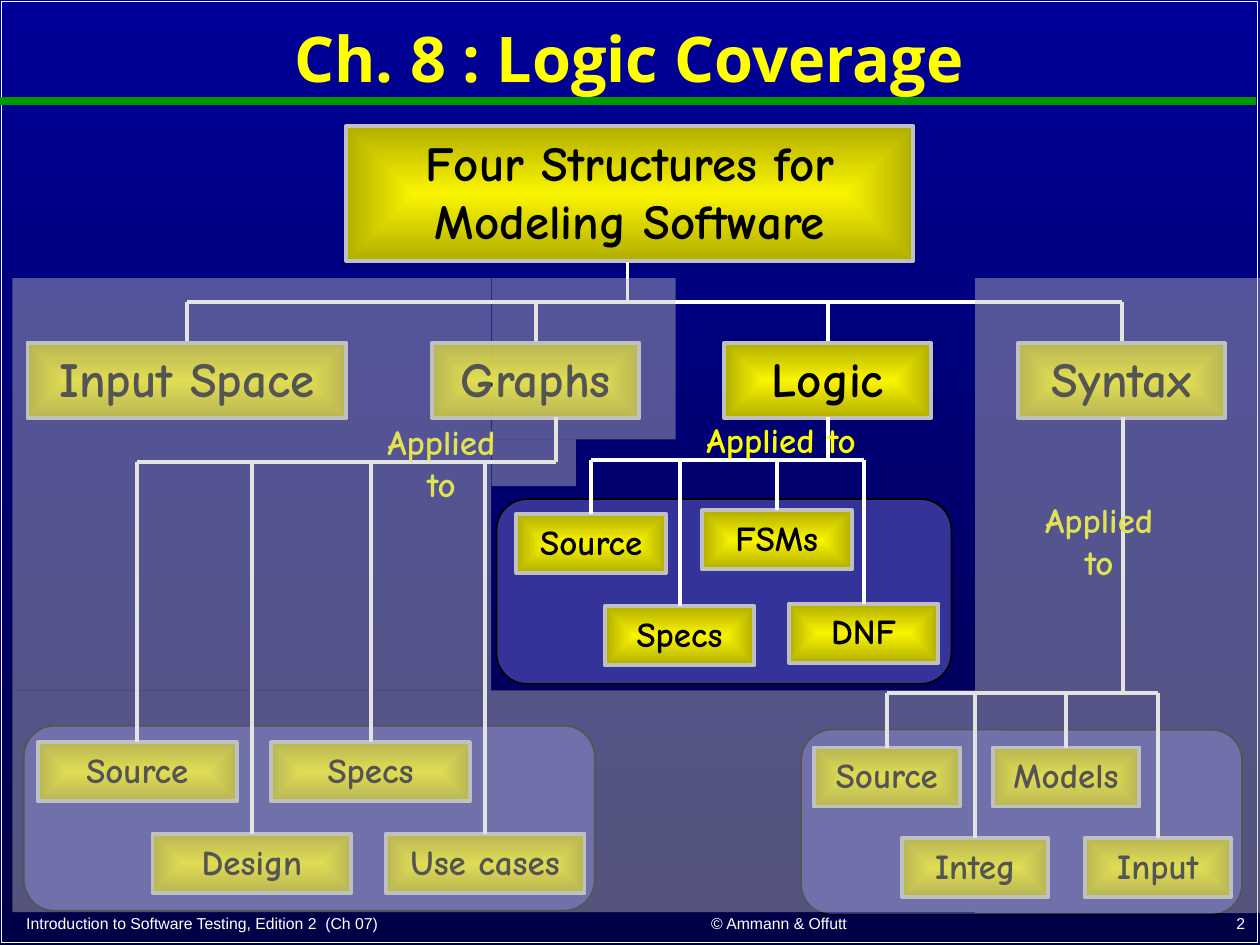
from lxml.etree import SubElement
from pptx import Presentation
from pptx.dml.color import RGBColor
from pptx.enum.shapes import MSO_CONNECTOR, MSO_SHAPE
from pptx.enum.text import MSO_ANCHOR, MSO_AUTO_SIZE, PP_ALIGN
from pptx.oxml import parse_xml
from pptx.oxml.ns import nsdecls, qn
from pptx.util import Cm, Pt

NAVY = RGBColor(0x00, 0x00, 0x99)
MIDNIGHT = RGBColor(0x00, 0x00, 0x47)
INDIGO = RGBColor(0x33, 0x33, 0x99)
GREEN = RGBColor(0x00, 0x99, 0x00)
YELLOW = RGBColor(0xFF, 0xFF, 0x00)
LEMON = RGBColor(0xFA, 0xFD, 0x00)
GOLD = RGBColor(0xFA, 0xF4, 0x00)
SILVER = RGBColor(0xC0, 0xC0, 0xC0)
WHITE = RGBColor(0xFF, 0xFF, 0xFF)
BLACK = RGBColor(0x00, 0x00, 0x00)

GOLD_GRADIENT = f"""<a:gradFill {nsdecls('a')} rotWithShape="1"><a:gsLst>
<a:gs pos="0"><a:srgbClr val="{GOLD}"/></a:gs>
<a:gs pos="100000"><a:srgbClr val="{GOLD}"><a:shade val="46275"/></a:srgbClr></a:gs>
</a:gsLst><a:path path="shape">
<a:fillToRect l="50000" t="50000" r="50000" b="50000"/></a:path></a:gradFill>"""

deck = Presentation()
deck.slide_width, deck.slide_height = Cm(25.4), Cm(19.05)
page = deck.slides.add_slide(deck.slide_layouts[5])


def write(text, left, top, width, height, size=20, color=BLACK, font="Comic Neue",
          bold=True, align=PP_ALIGN.CENTER, anchor=MSO_ANCHOR.TOP, framed=False):
    area = [Cm(length) for length in (left, top, width, height)]
    if framed:
        box = page.shapes.add_shape(MSO_SHAPE.RECTANGLE, *area)
        box.shadow.inherit = False
        box.line.color.rgb, box.line.width = SILVER, Pt(2.25)
        box._element.spPr.find(qn("a:prstGeom")).addnext(parse_xml(GOLD_GRADIENT))
    else:
        box = page.shapes.add_textbox(*area)
    frame = box.text_frame
    frame.word_wrap = True
    frame.vertical_anchor = anchor
    frame.auto_size = MSO_AUTO_SIZE.SHAPE_TO_FIT_TEXT if bold else MSO_AUTO_SIZE.NONE
    para = frame.paragraphs[0]
    para.alignment = align
    span = para.add_run()
    span.text = text
    span.font.name, span.font.size = font, Pt(size)
    span.font.bold, span.font.color.rgb = bold, color


def draw_line(x1, y1, x2, y2, color=WHITE, weight=2.25):
    line = page.shapes.add_connector(MSO_CONNECTOR.STRAIGHT, Cm(x1), Cm(y1), Cm(x2), Cm(y2))
    line.line.color.rgb, line.line.width = color, Pt(weight)
    SubElement(line._element.spPr, qn("a:effectLst"))


backdrop = page.background.fill
backdrop.gradient()
backdrop.gradient_angle = 270
for stop, color in zip(backdrop.gradient_stops, (NAVY, MIDNIGHT)):
    stop.color.rgb = color

border = page.shapes.add_shape(MSO_SHAPE.RECTANGLE, Cm(0.03), Cm(0.03), Cm(25.32), Cm(18.97))
border.shadow.inherit = False
border.fill.background()
border.line.color.rgb, border.line.width = WHITE, Pt(1)
draw_line(0, 2.03, 25.32, 2.03, color=GREEN, weight=4.5)

title = page.shapes.title
title.left, title.top, title.width, title.height = Cm(0.25), Cm(0.13), Cm(24.87), Cm(2.24)
title.text_frame.vertical_anchor = MSO_ANCHOR.MIDDLE
para = title.text_frame.paragraphs[0]
para.alignment, para.line_spacing = PP_ALIGN.CENTER, 0.9
span = para.add_run()
span.text = "Ch. 8 : Logic Coverage"
span.font.name, span.font.size = "Open Sans", Pt(36)
span.font.bold, span.font.color.rgb = True, YELLOW

for text, left, width, align in (
    ("Introduction to Software Testing, Edition 2  (Ch 07)", 0.28, 10.85, PP_ALIGN.LEFT),
    ("© Ammann & Offutt", 11.68, 8.05, PP_ALIGN.CENTER),
    ("2", 20.07, 5.28, PP_ALIGN.RIGHT),
):
    write(text, left, 18.27, width, 0.66, size=9, color=WHITE, font="Arial",
          bold=False, align=align, anchor=MSO_ANCHOR.BOTTOM)

write("Four Structures for Modeling Software", 6.98, 2.54, 11.43, 2.72, size=28, framed=True)
structures = (("Input Space", 3.77, 6.43), ("Graphs", 10.8, 4.17),
              ("Logic", 16.69, 4.17), ("Syntax", 22.61, 4.17))
draw_line(12.65, 5.28, 12.65, 6.08)
draw_line(structures[0][1], 6.08, structures[-1][1], 6.08)
for text, center, width in structures:
    write(text, center - width / 2, 6.91, width, 1.52, size=28, framed=True)
    draw_line(center, 6.08, center, 6.88)

branches = (
    dict(panel=(16.15, 14.71, 8.89), label=(20.6, 9.93, 3.12, 1.96),
         stem=22.63, bar=13.97, width=2.95,
         leaves=(("Source", 17.88, 15.07), ("Integ", 19.66, 16.89),
                 ("Models", 21.49, 15.07), ("Input", 23.34, 16.89))),
    dict(panel=(10.01, 10.06, 9.17), label=(13.54, 8.31, 4.42, 1.09),
         stem=16.69, bar=9.27, width=3.02,
         leaves=(("Source", 11.92, 10.36), ("Specs", 13.7, 12.22),
                 ("FSMs", 15.66, 10.29), ("DNF", 17.41, 12.17))),
    dict(panel=(0.48, 14.63, 11.51), label=(7.34, 8.36, 3.12, 1.96),
         stem=11.2, bar=9.32, width=4.01,
         leaves=(("Source", 2.77, 14.96), ("Design", 5.08, 16.81),
                 ("Specs", 7.47, 14.96), ("Use cases", 9.78, 16.81))),
)
for branch in branches:
    left, top, width = branch["panel"]
    panel = page.shapes.add_shape(MSO_SHAPE.ROUNDED_RECTANGLE, Cm(left), Cm(top), Cm(width), Cm(3.73))
    panel.shadow.inherit = False
    panel.fill.solid()
    panel.fill.fore_color.rgb = INDIGO
    panel.line.color.rgb, panel.line.width = BLACK, Pt(1)

    stem, bar, leaves = branch["stem"], branch["bar"], branch["leaves"]
    for text, center, top in leaves:
        write(text, center - branch["width"] / 2, top, branch["width"], 1.19, framed=True)
        draw_line(center, bar, center, top)
    draw_line(leaves[0][1], bar, max(leaves[-1][1], stem), bar)
    draw_line(stem, 8.41, stem, bar)
    write("Applied to", *branch["label"], color=LEMON)

for area in ((19.66, 5.61, 5.74, 12.8), (0.25, 13.92, 19.41, 4.47), (0.25, 5.61, 9.65, 8.31),
             (9.91, 5.61, 3.71, 3.25), (9.91, 8.86, 1.7, 0.94)):
    veil = page.shapes.add_shape(MSO_SHAPE.RECTANGLE, *[Cm(length) for length in area])
    veil.shadow.inherit = False
    veil.fill.solid()
    veil.fill.fore_color.rgb = SILVER
    tint = veil._element.spPr.find(qn("a:solidFill")).find(qn("a:srgbClr"))
    SubElement(tint, qn("a:alpha"), val="44000")
    veil.line.fill.background()

deck.save("out.pptx")
